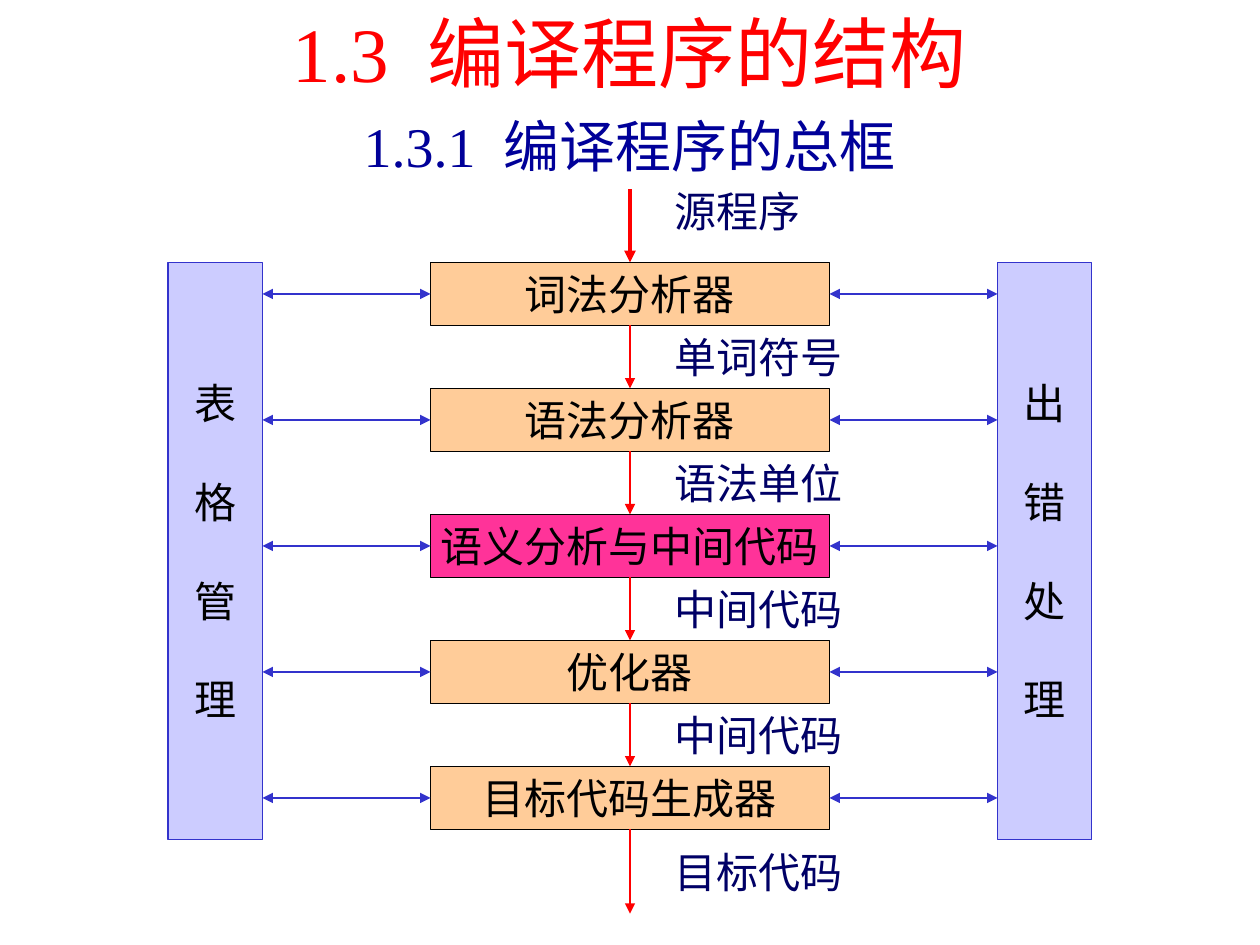
from dataclasses import dataclass

from lxml import etree
from pptx import Presentation
from pptx import util as u
from pptx.dml.color import RGBColor
from pptx.enum import shapes, text
from pptx.oxml.ns import qn


@dataclass(frozen=True)
class Theme:
    """Colours, type sizes and line widths of the slide."""
    font: str = "Times New Roman"
    title: str = "FF0000"
    subtitle: str = "000099"
    label: str = "000066"
    ink: str = "000000"
    stage: str = "FFCC99"
    current: str = "FF3399"
    side: str = "CCCCFF"
    link: str = "3333CC"
    flow: str = "FF0000"
    title_size: float = 44
    subtitle_size: float = 32
    body_size: float = 24
    side_gap: float = 27.6
    thin: float = 0.75
    thick: float = 2.25


@dataclass(frozen=True)
class Box:
    """A region of the slide in centimetres."""
    left: float
    top: float
    width: float
    height: float

    @property
    def right(self):
        """Return the right edge."""
        return self.left + self.width

    @property
    def bottom(self):
        """Return the bottom edge."""
        return self.top + self.height

    @property
    def middle(self):
        """Return the horizontal and vertical centre."""
        return self.left + self.width / 2, self.top + self.height / 2

    def lengths(self):
        """Return the position and size as slide lengths."""
        return [u.Cm(v) for v in (self.left, self.top, self.width, self.height)]


THEME = Theme()
PITCH = 2.54
STAGE_HEIGHT = 1.27
LABEL_OFFSET = 0.64
LABEL_SIZE = (4.4, 1.27)
STAGES = [
    ("词法分析器", "单词符号"),
    ("语法分析器", "语法单位"),
    ("语义分析与中间代码", "中间代码"),
    ("优化器", "中间代码"),
    ("目标代码生成器", "目标代码"),
]
CURRENT_STAGE = "语义分析与中间代码"


def style_runs(paragraph, size, color):
    """Apply the theme font, a size and a colour to a paragraph's runs."""
    for run in paragraph.runs:
        run.font.name = THEME.font
        run.font.size = u.Pt(size)
        run.font.color.rgb = RGBColor.from_string(color)


def add_heading(slide, box, number, words, size, color, anchor):
    """Place a centred heading with a widened gap after its number."""
    frame = slide.shapes.add_textbox(*box.lengths()).text_frame
    frame.word_wrap = True
    frame.vertical_anchor = anchor
    paragraph = frame.paragraphs[0]
    paragraph.alignment = text.PP_ALIGN.CENTER
    number_run, gap_run, words_run = (paragraph.add_run() for _ in range(3))
    number_run.text, gap_run.text, words_run.text = number, " ", words
    style_runs(paragraph, size, color)
    gap_run.font._element.set("spc", str(size * 25))


def add_block(slide, box, lines, fill, outline):
    """Draw a filled rectangle with centred lines of text."""
    block = slide.shapes.add_shape(shapes.MSO_SHAPE.RECTANGLE, *box.lengths())
    block.shadow.inherit = False
    block.fill.solid()
    block.fill.fore_color.rgb = RGBColor.from_string(fill)
    block.line.color.rgb = RGBColor.from_string(outline)
    block.line.width = u.Pt(THEME.thin)
    frame = block.text_frame
    frame.word_wrap = False
    frame.vertical_anchor = text.MSO_ANCHOR.MIDDLE
    frame.text = "\n".join(lines)
    for index, paragraph in enumerate(frame.paragraphs):
        paragraph.alignment = text.PP_ALIGN.CENTER
        if index:
            paragraph.space_before = u.Pt(THEME.side_gap)
        style_runs(paragraph, THEME.body_size, THEME.ink)


def add_arrow(slide, start, end, color, width, ends=("tailEnd",)):
    """Draw a straight arrow between two points."""
    arrow = slide.shapes.add_connector(
        shapes.MSO_CONNECTOR.STRAIGHT, *(u.Cm(v) for v in (*start, *end)))
    arrow.line.color.rgb = RGBColor.from_string(color)
    arrow.line.width = u.Pt(width)
    for end_name in ends:
        etree.SubElement(arrow.line._get_or_add_ln(), qn(f"a:{end_name}"), type="triangle")
    etree.SubElement(arrow._element.spPr, qn("a:effectLst"))


def add_label(slide, left, top, words):
    """Place the name of what flows beside an arrow."""
    frame = slide.shapes.add_textbox(*Box(left, top, *LABEL_SIZE).lengths()).text_frame
    frame.word_wrap = True
    frame.text = words
    style_runs(frame.paragraphs[0], THEME.body_size, THEME.label)


def add_pipeline(slide, box, inflow, outflow):
    """Stack the compiler stages in the box and return their boxes."""
    center = box.middle[0]
    label_left = center + LABEL_OFFSET
    add_arrow(slide, (center, box.top - inflow), (center, box.top), THEME.flow, THEME.thick)
    add_label(slide, label_left, box.top - inflow - 0.2, "源程序")
    stage_boxes = [Box(box.left, box.top + i * PITCH, box.width, STAGE_HEIGHT)
                   for i in range(len(STAGES))]
    for stage, (name, output) in zip(stage_boxes, STAGES):
        fill = THEME.current if name == CURRENT_STAGE else THEME.stage
        add_block(slide, stage, [name], fill, THEME.ink)
        gap = outflow if stage is stage_boxes[-1] else PITCH - STAGE_HEIGHT
        add_arrow(slide, (center, stage.bottom), (center, stage.bottom + gap),
                  THEME.flow, THEME.thin)
        add_label(slide, label_left, stage.bottom + (gap - LABEL_SIZE[1]) / 2, output)
    return stage_boxes


def add_side_module(slide, box, name, stage_boxes):
    """Draw a vertical module and link it to every stage."""
    add_block(slide, box, name, THEME.side, THEME.link)
    for stage in stage_boxes:
        if box.left < stage.left:
            start, end = box.right, stage.left
        else:
            start, end = stage.right, box.left
        level = stage.middle[1]
        add_arrow(slide, (start, level), (end, level), THEME.link, THEME.thin,
                  ("headEnd", "tailEnd"))


def main():
    """Build and save the compiler structure slide."""
    deck = Presentation()
    deck.slide_width, deck.slide_height = u.Cm(25.4), u.Cm(19.05)
    slide = deck.slides.add_slide(deck.slide_layouts[6])
    add_heading(slide, Box(1.9, 0.2, 21.6, 1.7), "1.3", "编译程序的结构",
                THEME.title_size, THEME.title, text.MSO_ANCHOR.MIDDLE)
    add_heading(slide, Box(3.81, 2.12, 17.78, 1.48), "1.3.1", "编译程序的总框",
                THEME.subtitle_size, THEME.subtitle, text.MSO_ANCHOR.TOP)
    stage_boxes = add_pipeline(slide, Box(8.68, 5.29, 8.04, 11.43), 1.48, 1.7)
    for left, name in ((3.39, "表格管理"), (20.11, "出错处理")):
        add_side_module(slide, Box(left, 5.29, 1.9, 11.64), name, stage_boxes)
    deck.save("out.pptx")


if __name__ == "__main__":
    main()
